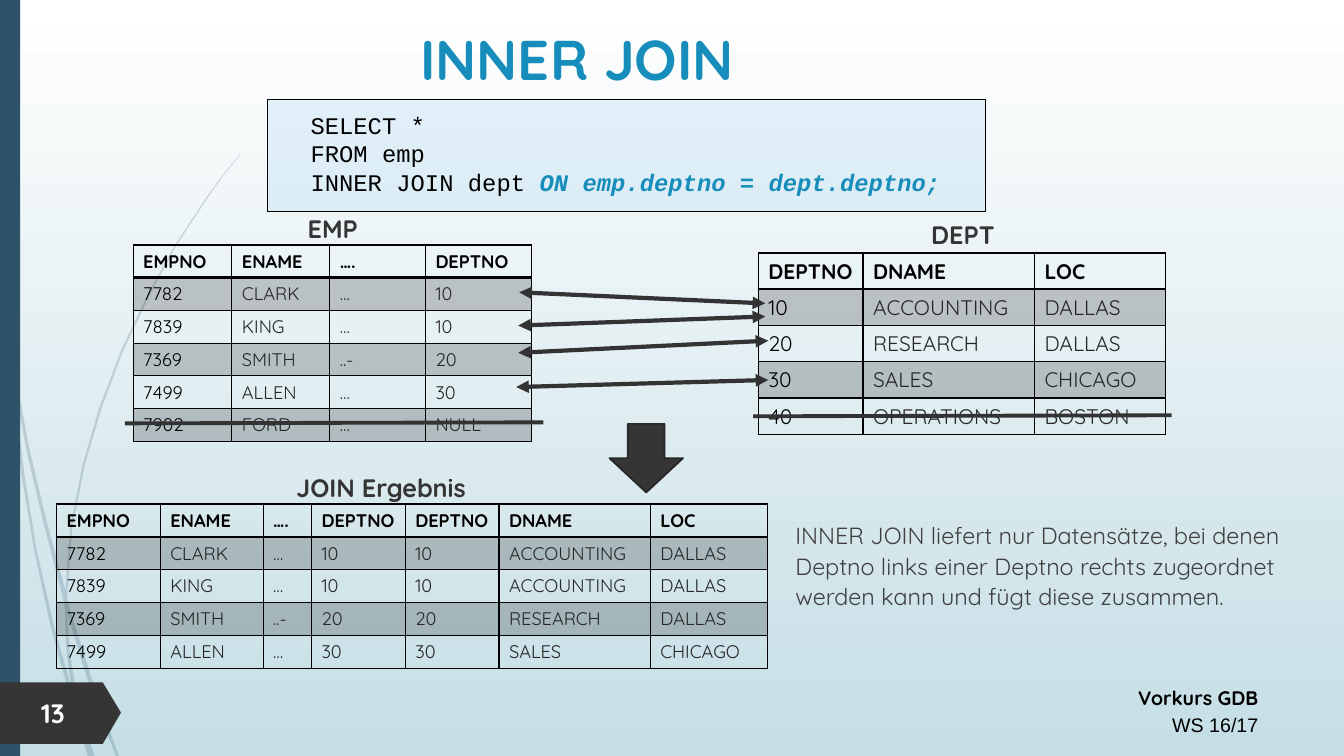
import pptx
import pptx.util
import pptx.dml.color
import pptx.enum.shapes
import pptx.enum.text
import pptx.oxml
import pptx.oxml.ns

COLS, ROWS = 13.33, 7.5
BODY, CODE = "Quicksand", "Courier New"
DARK, BLUE, NAVY, BLACK, SOFT = "353535", "178DBB", "2E5369", "000000", "262626"

EMP = [
    ("EMPNO", "ENAME", "….", "DEPTNO"),
    ("7782", "CLARK", "…", "10"),
    ("7839", "KING", "…", "10"),
    ("7369", "SMITH", "..-", "20"),
    ("7499", "ALLEN", "…", "30"),
    ("7902", "FORD", "…", "NULL"),
]
DEPT = [
    ("DEPTNO", "DNAME", "LOC"),
    ("10", "ACCOUNTING", "DALLAS"),
    ("20", "RESEARCH", "DALLAS"),
    ("30", "SALES", "CHICAGO"),
    ("40", "OPERATIONS", "BOSTON"),
]
JOIN = [left + right for left in EMP for right in DEPT if left[-1] == right[0]]

QUERY = [
    ["SELECT *\nFROM emp"],
    ["INNER JOIN dept ",
     ("ON emp.deptno = dept.deptno;", dict(color=BLUE, bold=True, italic=True))],
]
NOTE = ("INNER JOIN liefert nur Datensätze, bei denen Deptno links einer Deptno "
        "rechts zugeordnet werden kann und fügt diese zusammen.")
FOOT = [[("Vorkurs GDB", dict(bold=True))], [("WS 16/17", dict(font="Arial"))]]
HEADS = [("JOIN Ergebnis", 2.37, 4.64), ("EMP", 1.89, 2.07), ("DEPT", 8.14, 2.13)]

LINKS = [
    (5.15, 2.9, 7.59, 3.01),
    (5.14, 3.23, 7.59, 3.14),
    (5.14, 3.5, 7.62, 3.38),
    (5.12, 3.84, 7.62, 3.77),
]
STRIKES = [(1.24, 4.2, 5.39, 4.19), (7.47, 4.13, 11.62, 4.12)]
WISPS = [
    [(.08, 3.5), (.06, 3.22), (0, 2.82), (0, 2.99), (.08, 3.44)],
    [(.44, 5.22), (.64, 5.99), (.65, 5.86), (.47, 5.2), (.28, 4.4), (.11, 3.45),
     (.13, 3.76), (.27, 4.5)],
    [(.7, 6.07), (.67, 5.96), (.67, 6.1), (.93, 6.94), (1.15, 7.5), (1.18, 7.5),
     (.97, 6.92)],
    [(.91, 7.5), (.94, 7.5), (.8, 7.11)],
    [(.71, 6.83), (.53, 6.19), (.36, 5.44), (.24, 4.69), (.13, 3.76), (.08, 3.5),
     (.21, 4.7), (.34, 5.46), (.5, 6.21), (.7, 6.93), (.77, 7.14), (.75, 7.07)],
    [(.64, 5.99), (.66, 6.46), (.71, 6.83), (.8, 7.11), (.69, 6.46), (.67, 6.1)],
    [(.67, 5.84), (.72, 5.22), (.84, 4.62), (1.01, 4.04), (1.22, 3.49), (1.47, 2.96),
     (1.74, 2.45), (2.05, 1.98), (2.21, 1.75), (2.38, 1.54), (2.38, 1.53), (2.2, 1.75),
     (2.04, 1.97), (1.73, 2.44), (1.45, 2.95), (1.2, 3.48), (.99, 4.03), (.82, 4.61),
     (.7, 5.22), (.65, 5.84), (.67, 5.96)],
    [(.77, 7.14), (.87, 7.5), (.9, 7.5)],
    [(.67, 6.1), (.67, 5.96), (.65, 5.86), (.64, 5.99)],
    [(.74, 6.92), (.71, 6.83), (.77, 7.14), (.9, 7.5), (.91, 7.5), (.8, 7.11)],
]
BADGE = [(0, 6.77), (1.02, 6.77), (1.2, 7.07), (1.02, 7.38), (0, 7.38)]

KIND = pptx.enum.shapes.MSO_SHAPE
ALIGN = pptx.enum.text.PP_ALIGN
ANCHOR = pptx.enum.text.MSO_ANCHOR
qn = pptx.oxml.ns.qn

deck = pptx.Presentation()
UNIT = pptx.util.Inches(1)
deck.slide_width, deck.slide_height = round(COLS * UNIT), round(ROWS * UNIT)
slide = deck.slides.add_slide(deck.slide_layouts[6])
shapes = slide.shapes


def grid(*cells):
    return [round(cell * UNIT) for cell in cells]


def rgb(code):
    return pptx.dml.color.RGBColor.from_string(code)


def node(tag, inner=""):
    return pptx.oxml.parse_xml(f"<a:{tag} {pptx.oxml.ns.nsdecls('a')}>{inner}</a:{tag.split()[0]}>")


def paint(item, props, code, alpha=100):
    item.fill.solid()
    item.fill.fore_color.rgb = rgb(code)
    if alpha < 100:
        props.find(qn("a:solidFill"))[0].append(node(f'alpha val="{alpha * 1000}"'))


def dress(shape, code, alpha=100, edge=None, width=1):
    shape.shadow.inherit = False
    paint(shape, shape._element.spPr, code, alpha)
    if edge:
        shape.line.color.rgb = rgb(edge)
        shape.line.width = pptx.util.Pt(width)
    else:
        shape.line.fill.background()


def write(frame, text, align=ALIGN.LEFT, anchor=ANCHOR.TOP, space=None, before=None, **style):
    frame.word_wrap = True
    frame.vertical_anchor = anchor
    for i, parts in enumerate([[text]] if isinstance(text, str) else text):
        para = frame.add_paragraph() if i else frame.paragraphs[0]
        para.alignment = align
        if space:
            para.line_spacing = space
        if before:
            para.space_before = pptx.util.Pt(before)
        for part in parts:
            words, extra = (part, {}) if isinstance(part, str) else part
            look = dict(size=18, color=BLACK, font=BODY, bold=False, italic=False)
            look |= style | extra
            for j, line in enumerate(words.split("\n")):
                if j:
                    para.add_line_break()
                run = para.add_run()
                run.text = line
                run.font.size = pptx.util.Pt(look["size"])
                run.font.name = look["font"]
                run.font.bold, run.font.italic = look["bold"], look["italic"]
                run.font.color.rgb = rgb(look["color"])


def label(text, *place, **style):
    write(shapes.add_textbox(*grid(*place)).text_frame, text, **style)


def outline(points, code, alpha=100):
    first, *rest = [grid(*point) for point in points]
    pen = shapes.build_freeform(*first)
    pen.add_line_segments(rest, close=True)
    dress(pen.convert_to_shape(), code, alpha)


def table(rows, left, top, widths, height, size):
    place = grid(left, top, sum(widths), height)
    body = shapes.add_table(len(rows), len(widths), *place).table
    body.first_row = body.horz_banding = False
    for col, width in zip(body.columns, widths):
        col.width = grid(width)[0]
    for r, row in enumerate(rows):
        body.rows[r].height = grid(height / len(rows))[0]
        for c, text in enumerate(row):
            cell = body.cell(r, c)
            props = cell._tc.get_or_add_tcPr()
            for side in "LRTB":
                width = 25400 if r == 0 and side == "B" else 12700
                props.append(node(f'ln{side} w="{width}"',
                                  f'<a:solidFill><a:srgbClr val="{BLACK}"/></a:solidFill>'))
            if r % 2:
                paint(cell, props, BLACK, 20)
            else:
                cell.fill.background()
            write(cell.text_frame, text, size=size, bold=r == 0,
                  color=SOFT if r and c else BLACK)


def link(ends, width, heads=False):
    line = shapes.add_connector(pptx.enum.shapes.MSO_CONNECTOR.STRAIGHT, *grid(*ends))
    line.line.color.rgb = rgb("333333")
    line.line.width = pptx.util.Pt(width)
    if heads:
        for end in ("headEnd", "tailEnd"):
            line.line._get_or_add_ln().append(node(f'{end} type="triangle"'))
    line._element.spPr.append(node("effectLst"))


back = slide.background.fill
back.gradient()
back.gradient_angle = 270
for stop, code in zip(back.gradient_stops, ("FFFFFF", "C5DEE5")):
    stop.color.rgb = rgb(code)

for wisp in WISPS:
    outline(wisp, NAVY, 20)
dress(shapes.add_shape(KIND.RECTANGLE, *grid(0, 0, .2, ROWS)), NAVY)
label(FOOT, 7.38, 6.72, 5.2, .64, align=ALIGN.RIGHT, space=1.14, size=14)
outline(BADGE, DARK)
label("13", .31, 6.86, .7, .42, anchor=ANCHOR.MIDDLE, size=19, color="FFFFFF", bold=True)
label("INNER JOIN", 1.24, .17, 8.97, .81, align=ALIGN.CENTER, anchor=ANCHOR.MIDDLE,
      size=40, color=BLUE, bold=True)
label(NOTE, 7.79, 5.09, 5.06, 1.41, space=1.1, before=10, size=16.7, color="404040")

table(EMP, 1.32, 2.43, [.98, .97, .95, 1.05], 1.95, 13)
table(DEPT, 7.52, 2.51, [1.04, 1.7, 1.3], 1.8, 15)

box = shapes.add_shape(KIND.RECTANGLE, *grid(2.65, .99, 7.12, 1.11))
dress(box, "A8D5F0", 27, BLACK, .75)
frame = box.text_frame
frame.margin_left, frame.margin_top, frame.margin_right, frame.margin_bottom = grid(.43, 0, .1, .05)
write(frame, QUERY, anchor=ANCHOR.MIDDLE, size=17, font=CODE)

for ends in LINKS:
    link(ends, 3, heads=True)
for ends in STRIKES:
    link(ends, 2.75)

table(JOIN, .56, 5, [1.03, 1.02, .48, .93, .93, 1.5, 1.16], 1.63, 13)
arrow = shapes.add_shape(KIND.LEFT_ARROW, *grid(6.07, 4.18, .68, .73))
arrow.rotation = 270
dress(arrow, DARK, edge="272727", width=1.25)
for text, left, top in HEADS:
    label(text, left, top, 2.82, .4, align=ALIGN.CENTER, color=DARK, bold=True)

deck.save("out.pptx")
